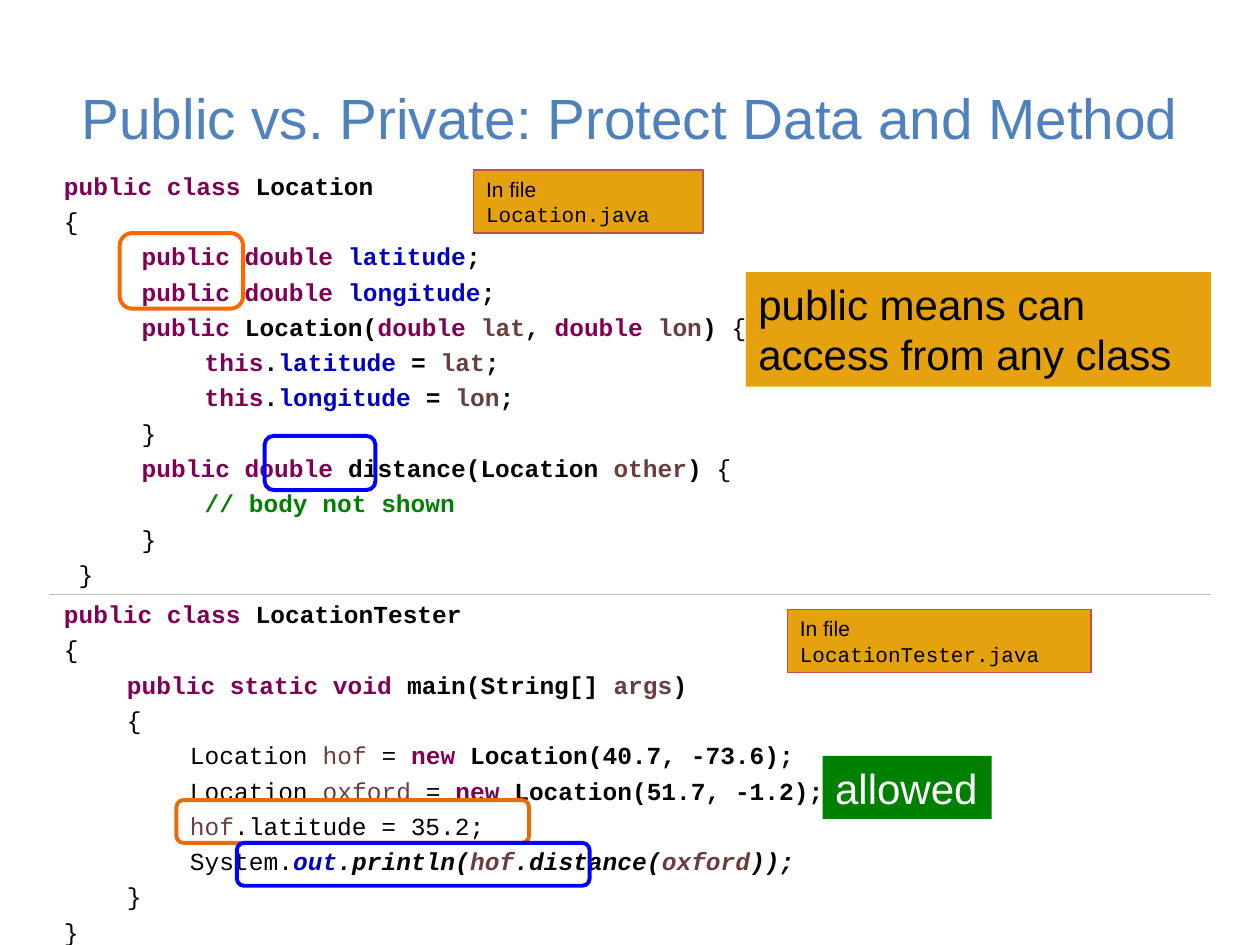
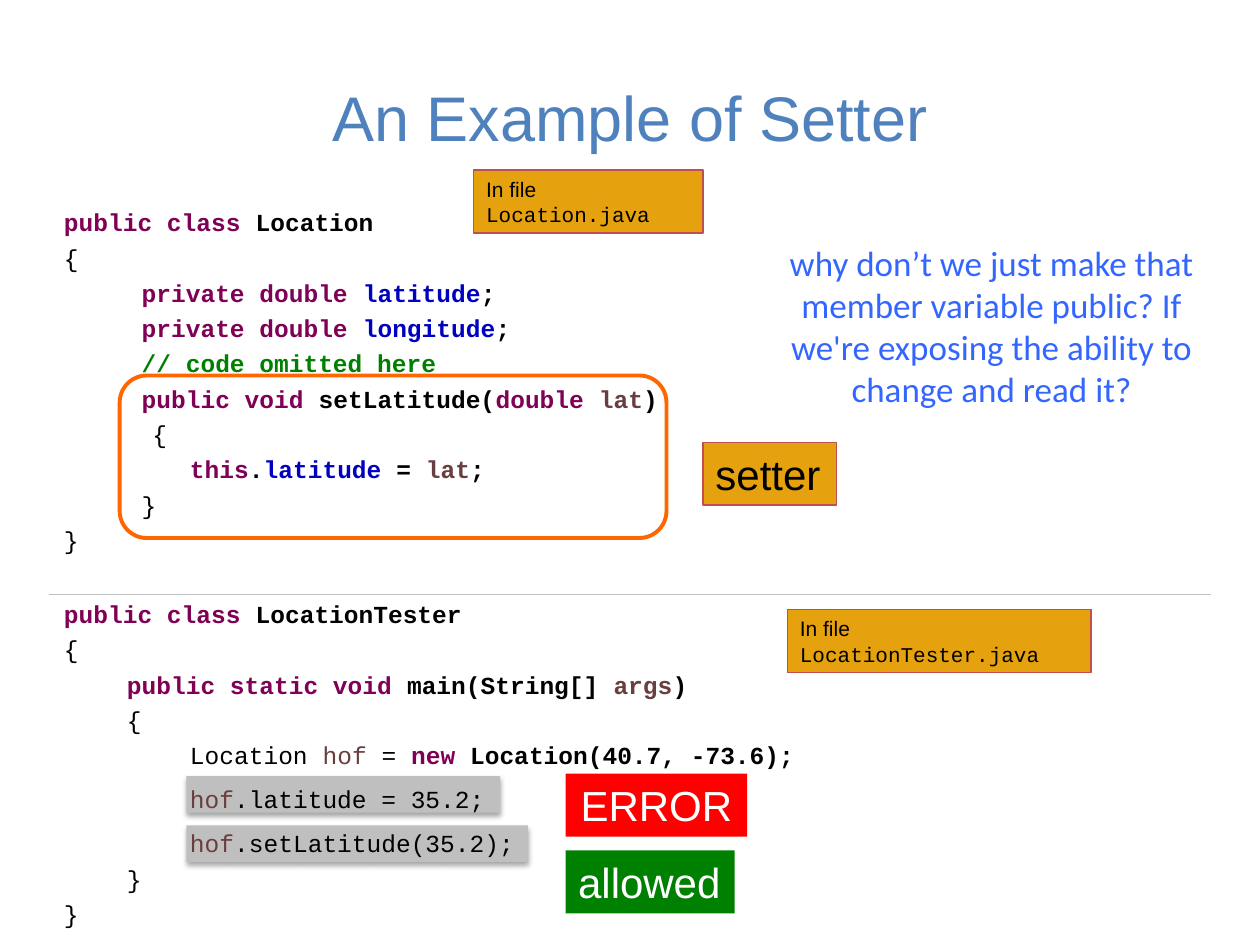
from lxml import etree
from pptx import Presentation
from pptx.dml.color import RGBColor
from pptx.enum.shapes import MSO_CONNECTOR, MSO_SHAPE
from pptx.enum.text import MSO_ANCHOR, MSO_AUTO_SIZE, PP_ALIGN
from pptx.oxml.ns import qn
from pptx.util import Inches, Pt

RECTANGLE = MSO_SHAPE.RECTANGLE
ROUNDED = MSO_SHAPE.ROUNDED_RECTANGLE
STRAIGHT = MSO_CONNECTOR.STRAIGHT
TOP, MIDDLE = MSO_ANCHOR.TOP, MSO_ANCHOR.MIDDLE
LEFT, CENTER = PP_ALIGN.LEFT, PP_ALIGN.CENTER
NO_FIT = MSO_AUTO_SIZE.NONE

SANS, MONO, QUESTION_FONT = "Arial", "Courier New", "Calibri"
TITLE_BLUE, QUESTION_BLUE, OUTLINE_BLUE = "4F81BD", "3366FF", "0000FF"
ORANGE, DARK_ORANGE, AMBER, BRICK = "FF6600", "E46C0A", "E6A20E", "C0504D"
GREEN, RED, GREY, BLACK, WHITE = "008000", "FF0000", "BFBFBF", "000000", "FFFFFF"
KEYWORD, FIELD, VARIABLE = "7F0055", "0000C0", "6A3E3E"

CODE_STYLES = {
    "p": (BLACK, False, False),
    "b": (BLACK, True, False),
    "k": (KEYWORD, True, False),
    "f": (FIELD, True, False),
    "a": (VARIABLE, True, False),
    "v": (VARIABLE, False, False),
    "c": (GREEN, True, False),
    "B": (BLACK, True, True),
    "F": (FIELD, True, True),
    "A": (VARIABLE, True, True),
}

presentation = Presentation()
presentation.slide_width = Inches(10)
presentation.slide_height = Inches(7.5)
COLUMN = presentation.slide_width / 100
ROW = presentation.slide_height / 75
TITLE_ONLY = presentation.slide_layouts[5]


def colour(hex_string):
    return RGBColor.from_string(hex_string)


def place(left, top, width, height):
    return [round(left * COLUMN), round(top * ROW), round(width * COLUMN), round(height * ROW)]


tester_start = [
    "kpublic class|b LocationTester",
    "p{",
    "p\t|kpublic static void|b main(String[] |aargs|b)",
    "p\t{",
    "p\t\tLocation |vhof|p = |knew|b Location(40.7, -73.6);",
]
tester_end = ["p\t}", "p}"]

public_location = [
    "kpublic class|b Location",
    "p{",
    "p\t |kpublic double |flatitude|b;",
    "p\t |kpublic double |flongitude|b;",
    "k\t public|b Location(|kdouble |alat|b, |kdouble |alon|b) |p{",
    "b\t\t |kthis|b.|flatitude|b = |alat|b;",
    "b\t\t |kthis|b.|flongitude|b = |alon|b;",
    "p\t }",
    "b\t |kpublic double|b distance(Location |aother|b) |p{",
    "b\t\t |c// body not shown",
    "p\t }",
    "p }",
]
public_tester = tester_start + [
    "p\t\tLocation |voxford |p= |knew|b Location(51.7, -1.2);",
    "p\t\t|vhof|p.latitude = 35.2;",
    "p\t\tSystem.|Fout|B.println(|Ahof|B.distance(|Aoxford|B));",
] + tester_end

setter_location = [
    "kpublic class|b Location",
    "p{",
    "p\t |kprivate double |flatitude|b;",
    "p\t |kprivate double |flongitude|b;",
    "k\t |c// code omitted here",
    "b\t |kpublic void|b setLatitude(|kdouble |alat|b)",
    "p      {",
    "b\t\t|kthis|b.|flatitude |b= |alat|b;",
    "p\t }",
    "p}",
]
setter_calls = ["p\t\t|vhof|p.latitude = 35.2;", "p\t\t|vhof|p.setLatitude(35.2);"]
setter_tester = tester_start + setter_calls + tester_end

file_labels = [
    ((37.6, 13.5, 18.2, 5), "Location.java"),
    ((62.5, 48.4, 24.1, 5), "LocationTester.java"),
]

slide_contents = [
    {
        "title": ("Public vs. Private: Protect Data and Method", 32.4),
        "highlights": [],
        "code": [
            ((4.1, 46.6, 74.6, 29.2), public_tester),
            ((4.1, 12.6, 89.7, 34.8), public_location),
        ],
        "outlines": [
            ((21, 34.6, 8.8, 4.3), OUTLINE_BLUE),
            ((9.5, 18.5, 9.8, 6), ORANGE),
            ((14, 63.5, 28, 3.4), DARK_ORANGE),
            ((18.8, 66.9, 28, 3.4), OUTLINE_BLUE),
        ],
        "callouts": [
            ((59.2, 21.6, 36.9, 9.1), "public means can access from any class", AMBER, None, BLACK, LEFT),
            ((65.3, 60, 13.4, 5), "allowed", GREEN, None, WHITE, LEFT),
        ],
        "questions": [],
    },
    {
        "title": ("An Example of Setter", 36),
        "highlights": [(14.8, 65.5, 27.1, 2.9), (14.8, 61.6, 24.9, 2.9)],
        "code": [
            ((4.1, 15.5, 89.7, 29.2), setter_location),
            ((4.1, 46.6, 74.6, 27.8), setter_tester),
        ],
        "outlines": [((9.5, 29.8, 43.4, 12.9), ORANGE)],
        "callouts": [
            ((55.8, 35.1, 10.6, 5), "setter", AMBER, BRICK, BLACK, LEFT),
            ((44.9, 61.4, 14.4, 5), "ERROR", RED, None, WHITE, CENTER),
            ((44.9, 67.5, 13.4, 5), "allowed", GREEN, None, WHITE, LEFT),
        ],
        "questions": [
            "why don’t we just make that member variable public? "
            "If we're exposing the ability to change and read it?"
        ],
    },
]

for content in slide_contents:
    slide = presentation.slides.add_slide(TITLE_ONLY)
    shapes = slide.shapes

    title = shapes.title
    title.left, title.top, title.width, title.height = place(5, 3, 90, 12.5)
    title_text, title_size = content["title"]
    title.text_frame.text = title_text
    title.text_frame.auto_size = NO_FIT
    title.text_frame.vertical_anchor = MIDDLE
    paragraph = title.text_frame.paragraphs[0]
    paragraph.alignment = CENTER
    paragraph.font.name = SANS
    paragraph.font.size = Pt(title_size)
    paragraph.font.color.rgb = colour(TITLE_BLUE)

    for area in content["highlights"]:
        highlight = shapes.add_shape(RECTANGLE, *place(*area))
        highlight.fill.solid()
        highlight.fill.fore_color.rgb = colour(GREY)
        highlight.line.fill.background()
        highlight.shadow.inherit = False
        effects = highlight._element.spPr.find(qn("a:effectLst"))
        shadow = etree.SubElement(
            effects, qn("a:outerShdw"), blurRad=str(Pt(3.1)), dist=str(Pt(1.8)), dir="5400000", rotWithShape="0"
        )
        shadow_colour = etree.SubElement(shadow, qn("a:srgbClr"), val=BLACK)
        etree.SubElement(shadow_colour, qn("a:alpha"), val="35000")

    for area, lines in content["code"]:
        code_frame = shapes.add_textbox(*place(*area)).text_frame
        code_frame.word_wrap = True
        for number, line in enumerate(lines):
            paragraph = code_frame.add_paragraph() if number else code_frame.paragraphs[0]
            tabs = etree.SubElement(paragraph._p.get_or_add_pPr(), qn("a:tabLst"))
            for stop in (5, 10):
                etree.SubElement(tabs, qn("a:tab"), pos=str(round(stop * COLUMN)), algn="l")
            paragraph.line_spacing = 1.5 if lines is setter_tester and line in setter_calls else 1.2
            for piece in line.split("|"):
                run = paragraph.add_run()
                run.text = piece[1:]
                hex_string, run.font.bold, run.font.italic = CODE_STYLES[piece[0]]
                run.font.name = MONO
                run.font.size = Pt(14)
                run.font.color.rgb = colour(hex_string)

    left, top, width, height = place(3.9, 47.2, 92.2, 0)
    divider = shapes.add_connector(STRAIGHT, left, top, left + width, top)
    divider.line.color.rgb = colour(GREY)
    divider.line.width = Pt(0.25)
    etree.SubElement(divider._element.spPr, qn("a:effectLst"))

    for area, hex_string in content["outlines"]:
        outline = shapes.add_shape(ROUNDED, *place(*area))
        outline.shadow.inherit = False
        outline.fill.background()
        outline.line.color.rgb = colour(hex_string)
        outline.line.width = Pt(2.25)

    labels = [
        (area, [("In file ", SANS), (name, MONO)], 12, AMBER, BRICK, BLACK, LEFT)
        for area, name in file_labels
    ]
    labels += [
        (area, [(text, SANS)], 24, fill, border, ink, alignment)
        for area, text, fill, border, ink, alignment in content["callouts"]
    ]
    for area, pieces, size, fill, border, ink, alignment in labels:
        label = shapes.add_shape(RECTANGLE, *place(*area))
        label.shadow.inherit = False
        label.fill.solid()
        label.fill.fore_color.rgb = colour(fill)
        if border:
            label.line.color.rgb = colour(border)
            label.line.width = Pt(0.75)
        else:
            label.line.fill.background()
        label.text_frame.word_wrap = True
        label.text_frame.vertical_anchor = TOP
        paragraph = label.text_frame.paragraphs[0]
        paragraph.alignment = alignment
        for text, font_name in pieces:
            run = paragraph.add_run()
            run.text = text
            run.font.name = font_name
            run.font.size = Pt(size)
            run.font.color.rgb = colour(ink)

    for text in content["questions"]:
        question_frame = shapes.add_textbox(*place(60.7, 18.7, 36, 14.5)).text_frame
        question_frame.word_wrap = True
        question_frame.text = text
        paragraph = question_frame.paragraphs[0]
        paragraph.alignment = CENTER
        paragraph.font.name = QUESTION_FONT
        paragraph.font.size = Pt(20)
        paragraph.font.color.rgb = colour(QUESTION_BLUE)

presentation.save("out.pptx")
